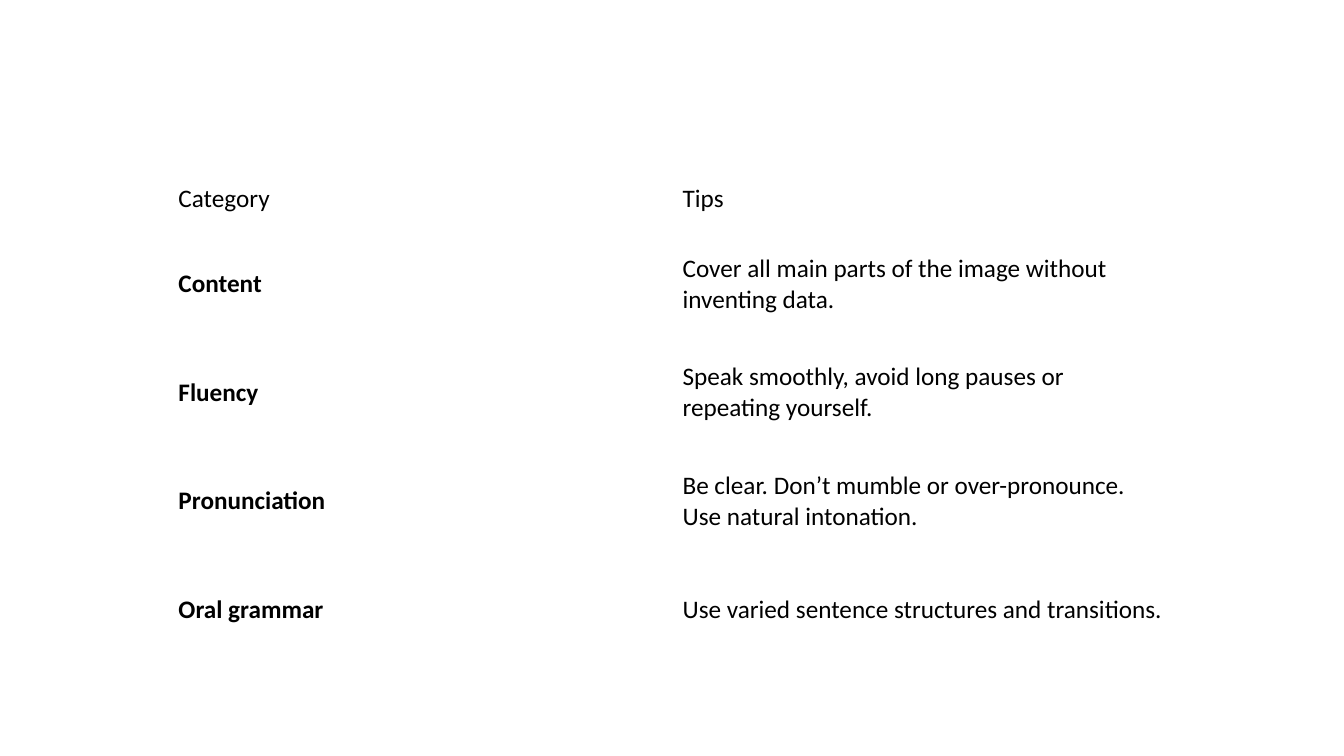
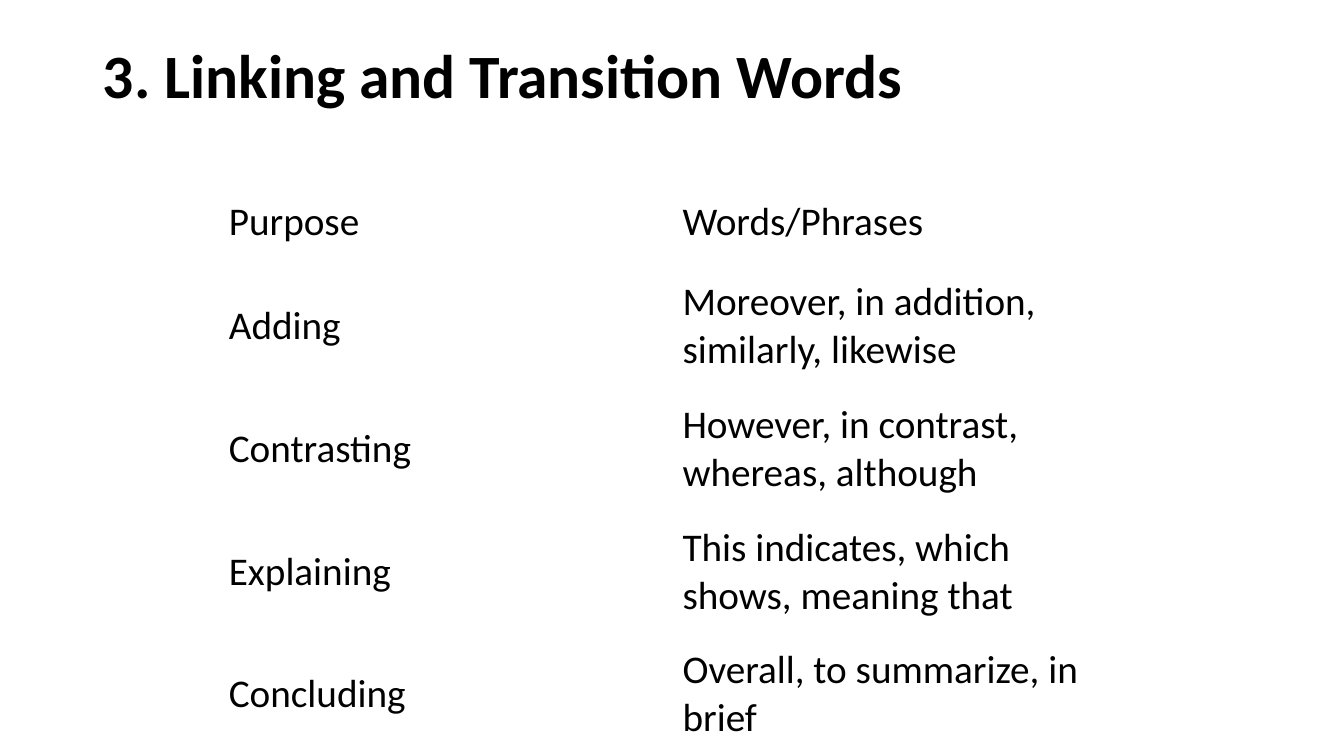
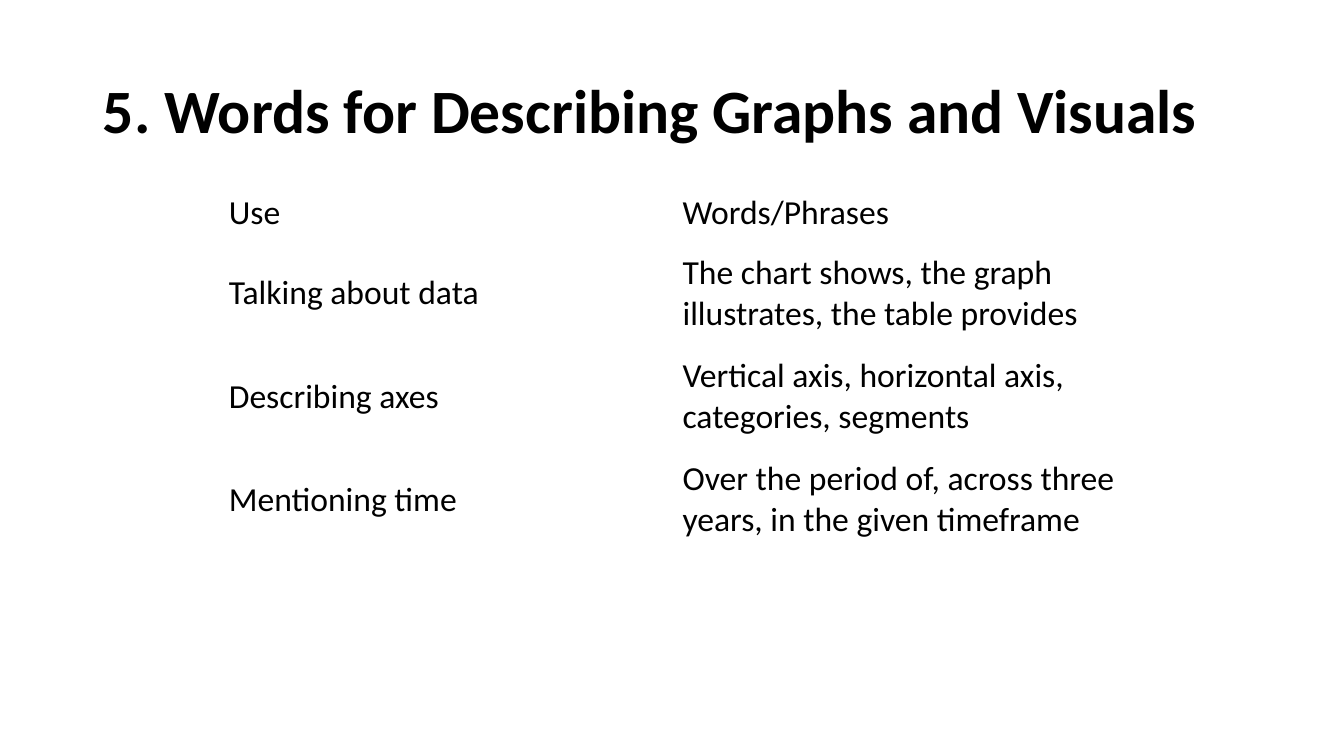
from pptx import Presentation
from pptx.dml.color import RGBColor
from pptx.enum.text import MSO_ANCHOR, MSO_AUTO_SIZE, PP_ALIGN
from pptx.util import Inches, Pt

FONT = "Calibri"
BLACK = "000000"
TITLE_ONLY, BLANK = 5, 6
TITLE_BOX = (0.92, 0.4, 11.5, 1.45)

TIPS = [
    ("Category", "Tips"),
    ("Content", "Cover all main parts of the image without inventing data."),
    ("Fluency", "Speak smoothly, avoid long pauses or repeating yourself."),
    ("Pronunciation", "Be clear. Don’t mumble or over-pronounce. Use natural intonation."),
    ("Oral grammar", "Use varied sentence structures and transitions."),
]
LINKING_WORDS = [
    ("Purpose", "Words/Phrases"),
    ("Adding", "Moreover, in addition, similarly, likewise"),
    ("Contrasting", "However, in contrast, whereas, although"),
    ("Explaining", "This indicates, which shows, meaning that"),
    ("Concluding", "Overall, to summarize, in brief"),
]
GRAPH_WORDS = [
    ("Use", "Words/Phrases"),
    ("Talking about data", "The chart shows, the graph illustrates, the table provides"),
    ("Describing axes", "Vertical axis, horizontal axis, categories, segments"),
    ("Mentioning time", "Over the period of, across three years, in the given timeframe"),
]


def color(value):
    return RGBColor.from_string(value)


def format_paragraph(paragraph, size, bold=False):
    paragraph.font.name = FONT
    paragraph.font.size = Pt(size)
    paragraph.font.bold = bold
    paragraph.font.color.rgb = color(BLACK)


def add_title(slide, text, anchor):
    title = slide.shapes.title
    title.left, title.top, title.width, title.height = map(Inches, TITLE_BOX)
    frame = title.text_frame
    frame.text = text
    frame.word_wrap = True
    frame.auto_size = MSO_AUTO_SIZE.NONE
    frame.vertical_anchor = anchor
    paragraph = frame.paragraphs[0]
    paragraph.alignment = PP_ALIGN.LEFT
    paragraph.line_spacing = 0.9
    format_paragraph(paragraph, 44, bold=True)


def add_word_table(slide, rows, box, header_height, size, bold_labels=False):
    left, top, width, height = map(Inches, box)
    table = slide.shapes.add_table(len(rows), 2, left, top, width, height).table
    table.first_row = False
    table.horz_banding = False
    body_height = (box[3] - header_height) / (len(rows) - 1)
    for row_index, texts in enumerate(rows):
        table.rows[row_index].height = Inches(body_height if row_index else header_height)
        for column_index, text in enumerate(texts):
            cell = table.cell(row_index, column_index)
            cell.fill.background()
            cell.vertical_anchor = MSO_ANCHOR.MIDDLE
            cell.text = text
            is_label = row_index > 0 and column_index == 0
            format_paragraph(cell.text_frame.paragraphs[0], size, bold_labels and is_label)


def add_slide(presentation, layout_index):
    return presentation.slides.add_slide(presentation.slide_layouts[layout_index])


def main():
    presentation = Presentation()
    presentation.slide_width = Inches(13.33)
    presentation.slide_height = Inches(7.5)

    slide = add_slide(presentation, BLANK)
    add_word_table(slide, TIPS, (1.67, 1.66, 10, 4.93), 0.62, 18, bold_labels=True)

    slide = add_slide(presentation, TITLE_ONLY)
    add_title(slide, "3. Linking and Transition Words", MSO_ANCHOR.TOP)
    add_word_table(slide, LINKING_WORDS, (2.17, 1.77, 9, 5.73), 0.86, 28)

    slide = add_slide(presentation, TITLE_ONLY)
    add_title(slide, "5. Words for Describing Graphs and Visuals", MSO_ANCHOR.MIDDLE)
    add_word_table(slide, GRAPH_WORDS, (2.17, 1.82, 9, 3.65), 0.58, 24)

    presentation.save("out.pptx")


if __name__ == "__main__":
    main()
